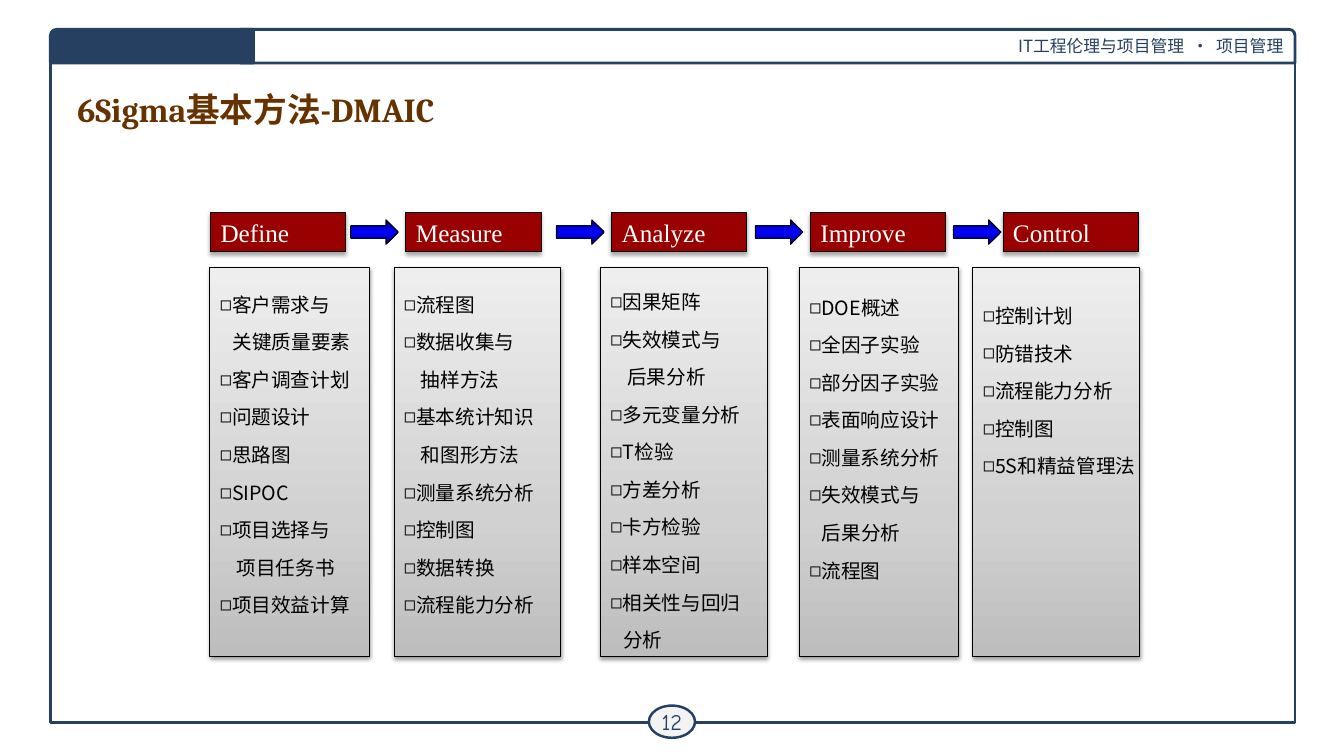
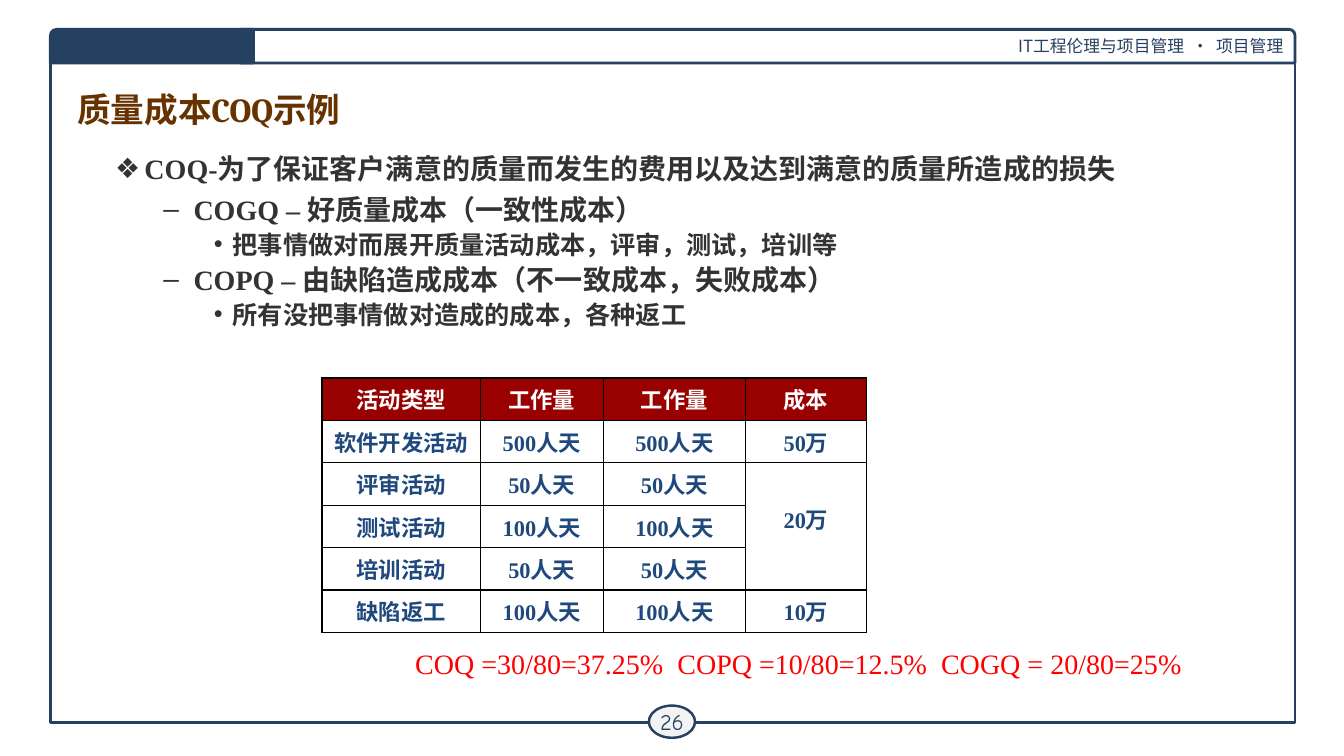
from lxml import etree
from pptx import Presentation
from pptx.dml.color import RGBColor
from pptx.enum.shapes import MSO_SHAPE
from pptx.enum.text import MSO_ANCHOR, MSO_AUTO_SIZE, PP_ALIGN
from pptx.oxml.ns import qn
from pptx.util import Pt

RECTANGLE = MSO_SHAPE.RECTANGLE
ONE_ROUND_CORNER = MSO_SHAPE.ROUND_1_RECTANGLE
ELLIPSE = MSO_SHAPE.OVAL
RIGHT_ARROW = MSO_SHAPE.RIGHT_ARROW
LEFT, CENTER, RIGHT = PP_ALIGN.LEFT, PP_ALIGN.CENTER, PP_ALIGN.RIGHT
TOP, MIDDLE = MSO_ANCHOR.TOP, MSO_ANCHOR.MIDDLE
NO_AUTOFIT = MSO_AUTO_SIZE.NONE
TITLE_AND_CONTENT, TITLE_ONLY = 1, 5

NAVY, BROWN, RED = "254061", "663300", "990000"
BLACK, WHITE, DARK_GRAY = "000000", "FFFFFF", "333333"
TABLE_BLUE, FORMULA_RED, PALE_GRAY = "1F497D", "FF0000", "F3F3F3"
COLUMN_GRADIENT = ((0, "BDBDBD"), (35, "D1D1D1"), (100, "EEEEEE"))
ARROW_GRADIENT = ((0, "00009A"), (50, "0000FF"), (100, "00009A"))
SANS, SERIF, TITLE_FONT, NUMBER_FONT = (
    "Noto Sans CJK SC", "Times New Roman", "Cambria", "Comic Neue")

PHASES = [
    ("Define", 150.5, 150, 114, 8,
     ["客户需求与", ("关键质量要素", 9), "客户调查计划", "问题设计", "思路图",
      "SIPOC", "项目选择与", ("项目任务书", 12), "项目效益计算"]),
    ("Measure", 290, 281.5, 119, 8,
     ["流程图", "数据收集与", ("抽样方法", 12), "基本统计知识", ("和图形方法", 12),
      "测量系统分析", "控制图", "数据转换", "流程能力分析"]),
    ("Analyze", 437, 429, 119, 6,
     ["因果矩阵", "失效模式与", ("后果分析", 12), "多元变量分析", "T检验",
      "方差分析", "卡方检验", "样本空间", "相关性与回归", ("分析", 9)]),
    ("Improve", 579, 571, 114, 10,
     ["DOE概述", "全因子实验", "部分因子实验", "表面响应设计", "测量系统分析",
      "失效模式与", ("后果分析", 9), "流程图"]),
    ("Control", 716.5, 695, 119, 16,
     ["控制计划", "防错技术", "流程能力分析", "控制图", "5S和精益管理法"]),
]
ARROW_LEFTS = [250.5, 397.5, 539.5, 681]

QUALITY_COSTS = [
    (0, "COQ-为了保证客户满意的质量而发生的费用以及达到满意的质量所造成的损失"),
    (1, "COGQ – 好质量成本（一致性成本）"),
    (2, "把事情做对而展开质量活动成本，评审，测试，培训等"),
    (1, "COPQ – 由缺陷造成成本（不一致成本，失败成本）"),
    (2, "所有没把事情做对造成的成本，各种返工"),
]
LEVELS = [
    dict(size=20, bullet="❖", margin=21, indent=-21, after=2.4),
    dict(size=20, bullet="–", margin=56, indent=-21.5, before=0.4, after=0.1),
    dict(size=18, bullet="•", margin=84, indent=-13.5, before=0.4, after=0.1),
]
COST_ROWS = [
    ("活动类型", "工作量", "工作量", "成本"),
    ("软件开发活动", "500人天", "500人天", "50万"),
    ("评审活动", "50人天", "50人天", "20万"),
    ("测试活动", "100人天", "100人天", ""),
    ("培训活动", "50人天", "50人天", ""),
    ("缺陷返工", "100人天", "100人天", "10万"),
]


def color(value):
    return RGBColor.from_string(value)


def add_element(parent, tag, **attributes):
    element = etree.SubElement(parent, qn(tag))
    for name, value in attributes.items():
        element.set(name, str(value))
    return element


def write(paragraph, text, *, size, font, ink, bold=False, align=LEFT, bullet=None,
          margin=0, indent=0, spacing=1.0, before=0, after=0):
    properties = paragraph._p.get_or_add_pPr()
    properties.set("marL", str(Pt(margin)))
    properties.set("indent", str(Pt(indent)))
    if bullet:
        add_element(properties, "a:buFont", typeface="Arial")
        add_element(properties, "a:buChar", char=bullet)
    paragraph.alignment = align
    paragraph.line_spacing = spacing
    paragraph.space_before = Pt(before)
    paragraph.space_after = Pt(after)
    run = paragraph.add_run()
    run.text = text
    run.font.size = Pt(size)
    run.font.bold = bold
    run.font.color.rgb = color(ink)
    run.font.name = font
    latin = run._r.rPr.find(qn("a:latin"))
    east_asian = etree.Element(qn("a:ea"))
    east_asian.set("typeface", SANS)
    latin.addnext(east_asian)


class Deck:
    def __init__(self):
        self.presentation = Presentation()
        self.presentation.slide_width = Pt(960)
        self.presentation.slide_height = Pt(540)
        self.slide = None

    def new_slide(self, layout, title, number):
        layouts = self.presentation.slide_layouts
        self.slide = self.presentation.slides.add_slide(layouts[layout])
        self.shape(RECTANGLE, 36, 36, 889, 480, line=NAVY, weight=2)
        band = self.shape(ONE_ROUND_CORNER, 171.5, 21, 753.5, 24,
                          fill=WHITE, line=NAVY, weight=2)
        write(self.frame(band), "IT工程伦理与项目管理  ·  项目管理",
              size=12, font=SANS, ink=NAVY, align=RIGHT)
        badge = self.shape(ELLIPSE, 463.5, 504, 33, 23,
                           fill=PALE_GRAY, line=NAVY, weight=1.75)
        write(self.frame(badge, inset=3, wrap=False), str(number),
              size=16, font=NUMBER_FONT, ink=NAVY, align=CENTER)
        tab = self.shape(ONE_ROUND_CORNER, 36, 21, 145, 24,
                         fill=NAVY, line=NAVY, weight=2)
        tab.adjustments[0] = 0.18
        tab._element.spPr.find(qn("a:xfrm")).set("flipH", "1")
        heading = self.place(self.slide.shapes.title, 48, 60.5, 864, 34.5)
        write(self.frame(heading), title,
              size=24, font=TITLE_FONT, ink=BROWN, bold=True)

    def place(self, shape, left, top, width, height):
        shape.left, shape.top = Pt(left), Pt(top)
        shape.width, shape.height = Pt(width), Pt(height)
        return shape

    def frame(self, shape, inset=7.2, top=3.6, anchor=MIDDLE, wrap=True):
        frame = shape.text_frame
        frame.auto_size = NO_AUTOFIT
        frame.word_wrap = wrap
        frame.vertical_anchor = anchor
        frame.margin_left = frame.margin_right = Pt(inset)
        frame.margin_top, frame.margin_bottom = Pt(top), Pt(3.6)
        return frame.paragraphs[0]

    def shape(self, kind, left, top, width, height, *, fill=None, gradient=None,
              line=BLACK, weight=0.75, shadow=None):
        shape = self.slide.shapes.add_shape(
            kind, Pt(left), Pt(top), Pt(width), Pt(height))
        shape.shadow.inherit = False
        shape.line.color.rgb = color(line)
        shape.line.width = Pt(weight)
        if gradient:
            self.fill_gradient(shape, gradient)
        elif fill:
            shape.fill.solid()
            shape.fill.fore_color.rgb = color(fill)
        else:
            shape.fill.background()
        if shadow:
            self.cast_shadow(shape, shadow)
        return shape

    def fill_gradient(self, shape, stops):
        shape.fill.gradient()
        shape.fill.gradient_angle = 90
        stop_list = shape._element.spPr.find(qn("a:gradFill")).find(qn("a:gsLst"))
        for stop in list(stop_list):
            stop_list.remove(stop)
        for position, value in stops:
            stop = add_element(stop_list, "a:gs", pos=position * 1000)
            add_element(stop, "a:srgbClr", val=value)

    def cast_shadow(self, shape, opacity):
        effects = shape._element.spPr.find(qn("a:effectLst"))
        shadow = add_element(effects, "a:outerShdw", blurRad=Pt(3.1), dist=Pt(1.7),
                             dir=90 * 60000, rotWithShape=0)
        tint = add_element(shadow, "a:srgbClr", val=BLACK)
        add_element(tint, "a:alpha", val=opacity * 1000)

    def phase(self, name, head_left, left, width, top_inset, items):
        head = self.shape(RECTANGLE, head_left, 152, 96.5, 28, fill=RED, shadow=35)
        write(self.frame(head, wrap=False), name, size=18, font=SERIF, ink=WHITE)
        column = self.shape(RECTANGLE, left, 191, width, 278,
                            gradient=COLUMN_GRADIENT, shadow=38)
        paragraph = self.frame(column, top=top_inset, anchor=TOP, wrap=False)
        for index, item in enumerate(items):
            if index:
                paragraph = column.text_frame.add_paragraph()
            continued = isinstance(item, tuple)
            text, margin = item if continued else (item, 0)
            write(paragraph, text, size=14, font=SANS, ink=BLACK, margin=margin,
                  bullet=None if continued else "◻", spacing=Pt(26.85))

    def arrow(self, left):
        self.shape(RIGHT_ARROW, left, 157, 34, 17.5, gradient=ARROW_GRADIENT)

    def bullets(self, items, left, top, width, height):
        body = self.place(self.slide.placeholders[1], left, top, width, height)
        paragraph = self.frame(body, anchor=TOP)
        for index, (level, text) in enumerate(items):
            if index:
                paragraph = body.text_frame.add_paragraph()
            paragraph.level = level
            write(paragraph, text, font=SERIF, ink=DARK_GRAY, bold=True,
                  spacing=1.08, **LEVELS[level])

    def table(self, rows, left, top, widths, row_height):
        table = self.slide.shapes.add_table(
            len(rows), len(widths), Pt(left), Pt(top),
            Pt(sum(widths)), Pt(row_height * len(rows))).table
        table.first_row = table.horz_banding = False
        for column, width in zip(table.columns, widths):
            column.width = Pt(width)
        for row_index, texts in enumerate(rows):
            table.rows[row_index].height = Pt(row_height)
            for column_index, text in enumerate(texts):
                self.cell(table.cell(row_index, column_index), text, row_index == 0)
        return table

    def cell(self, cell, text, is_header):
        cell.vertical_anchor = MIDDLE
        cell.margin_top = cell.margin_bottom = Pt(3)
        properties = cell._tc.get_or_add_tcPr()
        for side in ("a:lnL", "a:lnR", "a:lnT", "a:lnB"):
            border = add_element(properties, side, w=Pt(1))
            add_element(add_element(border, "a:solidFill"), "a:srgbClr", val=BLACK)
        if is_header:
            cell.fill.solid()
            cell.fill.fore_color.rgb = color(RED)
        else:
            cell.fill.background()
        if text:
            write(cell.text_frame.paragraphs[0], text, size=16, font=SERIF,
                  ink=WHITE if is_header else TABLE_BLUE, bold=True, align=CENTER)

    def text(self, text, left, top, width, height, **style):
        box = self.slide.shapes.add_textbox(Pt(left), Pt(top), Pt(width), Pt(height))
        write(self.frame(box, anchor=TOP), text, **style)


def main():
    deck = Deck()

    deck.new_slide(TITLE_ONLY, "6Sigma基本方法-DMAIC", 12)
    for phase in PHASES:
        deck.phase(*phase)
    for left in ARROW_LEFTS:
        deck.arrow(left)

    deck.new_slide(TITLE_AND_CONTENT, "质量成本COQ示例", 26)
    deck.bullets(QUALITY_COSTS, 75, 103, 818, 156)
    table = deck.table(COST_ROWS, 230, 270, [113, 88, 101.5, 86.5], 30.3)
    shared_cost = table.cell(2, 3)
    shared_cost.merge(table.cell(4, 3))
    shared_cost.margin_bottom = Pt(14)
    deck.text("COQ =30/80=37.25%  COPQ =10/80=12.5%  COGQ = 20/80=25%",
              289.5, 458, 572, 32, size=20, font=SERIF, ink=FORMULA_RED)

    deck.presentation.save("out.pptx")


if __name__ == "__main__":
    main()
